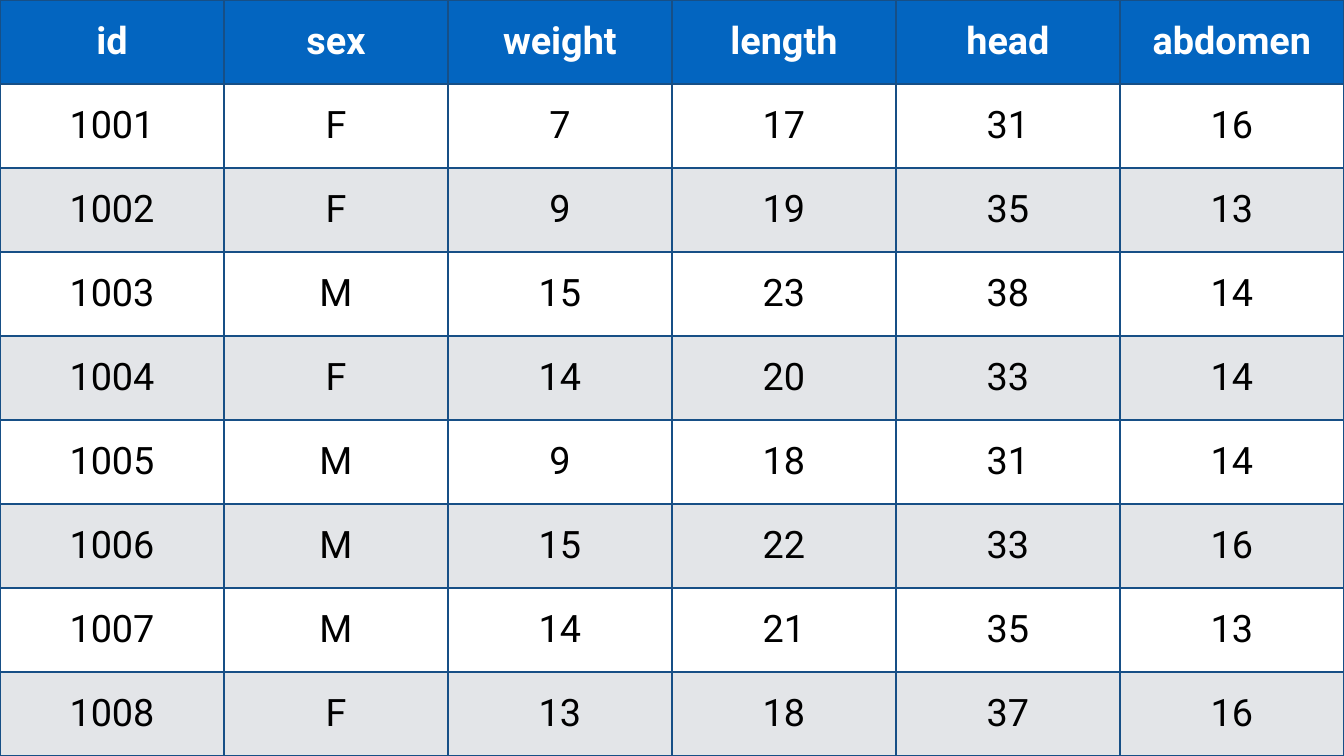
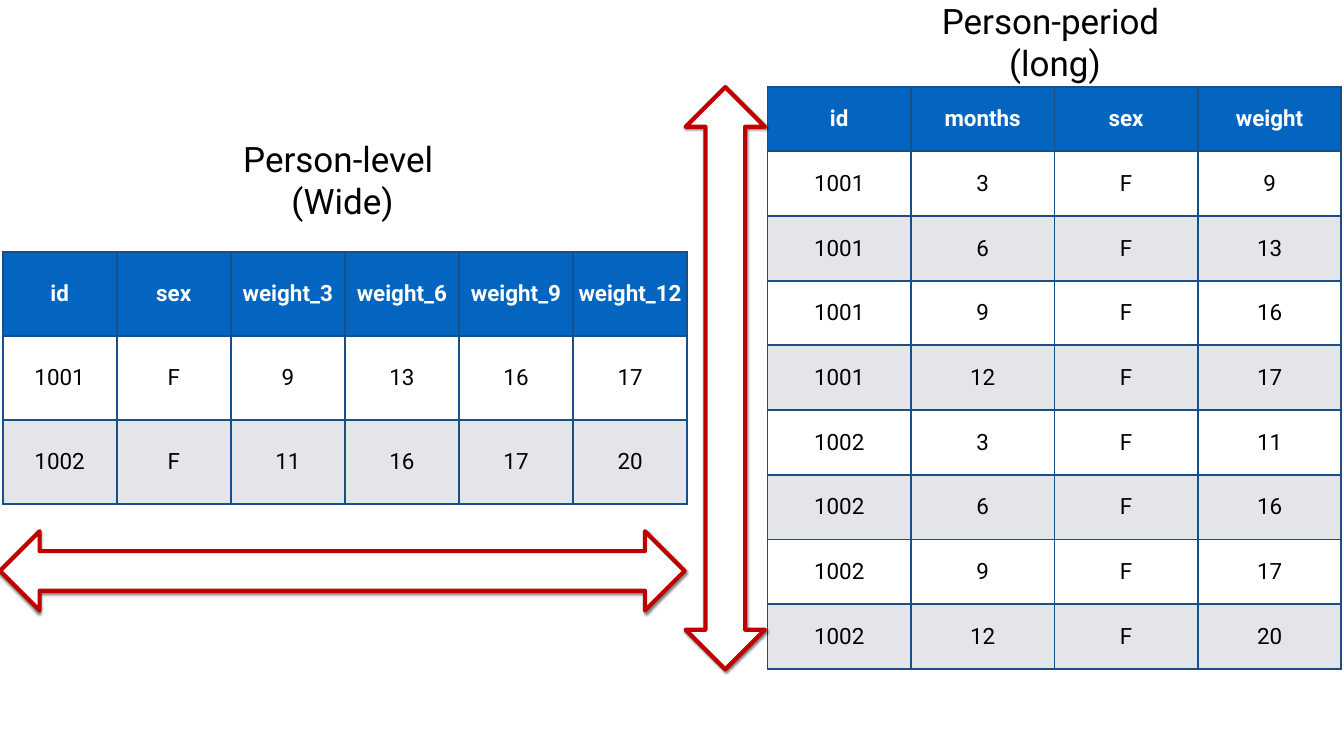
from lxml.etree import SubElement
from pptx import Presentation
from pptx.dml.color import RGBColor
from pptx.enum.shapes import MSO_SHAPE
from pptx.enum.text import MSO_ANCHOR, MSO_AUTO_SIZE, PP_ALIGN
from pptx.oxml.ns import qn
from pptx.util import Emu, Pt

WIDE, HIGH = 2560, 1440
SCALE = 9525


def px(n):
    return Emu(n * SCALE)


def color(code):
    return RGBColor.from_string(code)


class Deck:
    font = "Roboto"
    blue, navy, gray = "0365C0", "174F86", "E3E5E8"
    white, black, red = "FFFFFF", "000000", "C00000"
    inset = 5

    def __init__(self):
        self.show = Presentation()
        self.show.slide_width, self.show.slide_height = px(WIDE), px(HIGH)

    def page(self):
        self.slide = self.show.slides.add_slide(self.show.slide_layouts[6])

    def style(self, frame, size, ink, bold=False):
        for para in frame.paragraphs:
            para.alignment = PP_ALIGN.CENTER
            for run in para.runs:
                run.font.name = self.font
                run.font.size = Pt(size)
                run.font.bold = bold
                run.font.color.rgb = color(ink)

    def pad(self, box):
        box.margin_left = box.margin_right = px(self.inset)
        box.margin_top = box.margin_bottom = px(self.inset)
        box.vertical_anchor = MSO_ANCHOR.MIDDLE

    def edge(self, cell):
        props = cell._tc.get_or_add_tcPr()
        for spot, side in enumerate(("lnL", "lnR", "lnT", "lnB")):
            line = SubElement(props, qn(f"a:{side}"), w=str(Pt(3)))
            fill = SubElement(line, qn("a:solidFill"))
            SubElement(fill, qn("a:srgbClr"), val=self.navy)
            props.insert(spot, line)

    def table(self, left, top, width, height, rows, size):
        grid = self.slide.shapes.add_table(
            len(rows), len(rows[0]), px(left), px(top), px(width), px(height)
        ).table
        for col in grid.columns:
            col.width = Emu(px(width) // len(rows[0]))
        for r, row in enumerate(rows):
            grid.rows[r].height = Emu(px(height) // len(rows))
            head = r == 0
            fill = self.blue if head else (self.gray, self.white)[r % 2]
            ink = self.white if head else self.black
            for c, value in enumerate(row):
                cell = grid.cell(r, c)
                cell.text_frame.text = str(value)
                self.style(cell.text_frame, size, ink, head)
                self.pad(cell)
                cell.fill.solid()
                cell.fill.fore_color.rgb = color(fill)
                self.edge(cell)

    def title(self, left, top, width, height, text):
        box = self.slide.shapes.add_textbox(px(left), px(top), px(width), px(height))
        frame = box.text_frame
        frame.word_wrap = True
        frame.auto_size = MSO_AUTO_SIZE.SHAPE_TO_FIT_TEXT
        frame.text = text
        self.pad(frame)
        self.style(frame, 50, self.black)

    def arrow(self, left, top, width, height, turn=0):
        shape = self.slide.shapes.add_shape(
            MSO_SHAPE.LEFT_RIGHT_ARROW, px(left), px(top), px(width), px(height)
        )
        shape.rotation = turn
        shape.fill.solid()
        shape.fill.fore_color.rgb = color(self.white)
        shape.line.color.rgb = color(self.red)
        shape.line.width = Pt(6)
        shape.shadow.inherit = False
        glow = SubElement(
            shape._element.spPr.find(qn("a:effectLst")), qn("a:outerShdw"),
            blurRad=str(Pt(3)), dist=str(Pt(2)), dir="5400000", rotWithShape="0",
        )
        tint = SubElement(glow, qn("a:srgbClr"), val=self.black)
        SubElement(tint, qn("a:alpha"), val="50000")


def main():
    deck = Deck()

    deck.page()
    births = [
        ("id", "sex", "weight", "length", "head", "abdomen"),
        (1001, "F", 7, 17, 31, 16),
        (1002, "F", 9, 19, 35, 13),
        (1003, "M", 15, 23, 38, 14),
        (1004, "F", 14, 20, 33, 14),
        (1005, "M", 9, 18, 31, 14),
        (1006, "M", 15, 22, 33, 16),
        (1007, "M", 14, 21, 35, 13),
        (1008, "F", 13, 18, 37, 16),
    ]
    deck.table(0, 0, WIDE, HIGH, births, 54)

    deck.page()
    months = (3, 6, 9, 12)
    people = [(1001, "F", 9, 13, 16, 17), (1002, "F", 11, 16, 17, 20)]
    wide = [("id", "sex", *(f"weight_{m}" for m in months)), *people]
    long = [("id", "months", "sex", "weight")]
    for key, sex, *weights in people:
        long += [(key, m, sex, w) for m, w in zip(months, weights)]
    deck.table(5, 480, 1304, 480, wide, 32)
    deck.table(1462, 165, 1093, 1109, long, 32)
    deck.title(228, 255, 849, 173, "Person-level \n(Wide)")
    deck.title(1585, -7, 849, 173, "Person-period \n(long)")
    deck.arrow(0, 1012, 1304, 151)
    deck.arrow(827, 645, 1109, 151, 90)

    deck.show.save("out.pptx")


if __name__ == "__main__":
    main()
